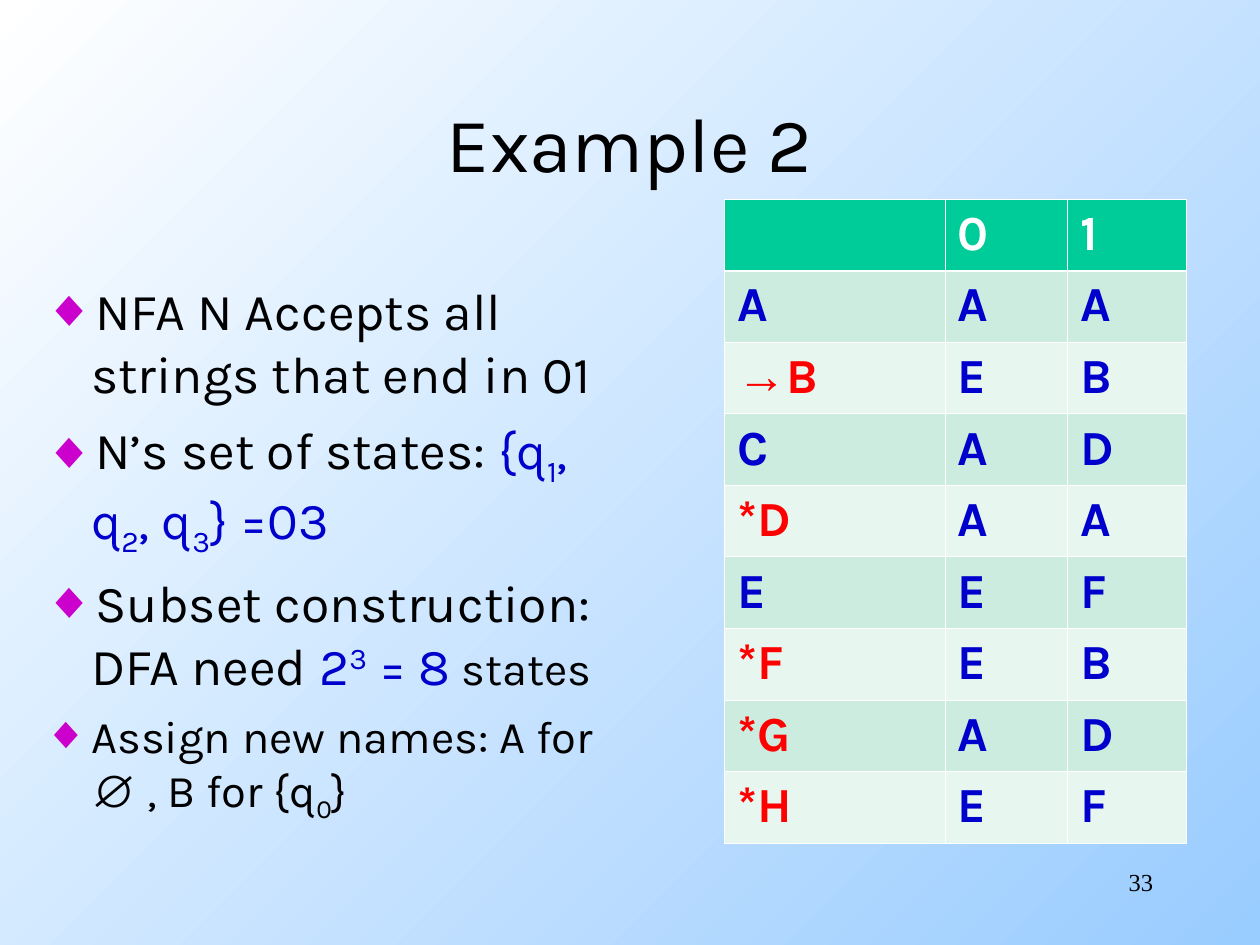
from typing import NamedTuple

from lxml.etree import SubElement
from pptx import Presentation
from pptx.dml.color import RGBColor
from pptx.enum.text import MSO_ANCHOR as Anchor, PP_ALIGN as Align
from pptx.oxml.ns import qn
from pptx.util import Pt

BLACK, WHITE, BLUE, RED = "000000", "FFFFFF", "0000CC", "FF0000"
GREEN, MINT, PALE, PURPLE = "00CC99", "CBECDE", "E7F6EF", "CC00CC"


class Run(NamedTuple):
    text: str
    color: str = BLACK
    size: float = 29.6
    font: str = "Karla"
    base: int = 0


class Bullet(NamedTuple):
    before: float
    runs: list[Run]


class State(NamedTuple):
    mark: str
    name: str
    on_zero: str
    on_one: str


BULLETS = [
    Bullet(8, [Run("NFA N Accepts all strings that end in 01")]),
    Bullet(8, [
        Run("N’s set of states: "),
        Run("{q", BLUE), Run("1", BLUE, base=-25),
        Run(", q", BLUE), Run("2", BLUE, base=-25),
        Run(", q", BLUE), Run("3", BLUE, base=-25),
        Run("} =03", BLUE),
    ]),
    Bullet(7, [
        Run("Subset construction: DFA need "),
        Run("2", BLUE), Run("3", BLUE, base=30), Run(" = 8", BLUE),
        Run(" states", size=25.9),
    ]),
    Bullet(7, [
        Run("Assign new names: A for ", size=25.9),
        Run("∅", size=25.9, font="Arial"),
        Run(" , B for {q", size=25.9),
        Run("0", size=25.9, base=-25),
        Run("}", size=25.9),
    ]),
]

STATES = [
    State("", "A", "A", "A"),
    State("→", "B", "E", "B"),
    State("", "C", "A", "D"),
    State("*", "D", "A", "A"),
    State("", "E", "E", "F"),
    State("*", "F", "E", "B"),
    State("*", "G", "A", "D"),
    State("*", "H", "E", "F"),
]


def rgb(value: str) -> RGBColor:
    return RGBColor.from_string(value)


def add_text(p, text: str, *, color: str = BLACK, size: float = 28, font: str = "Karla",
             bold: bool = False, base: int = 0) -> None:
    r = p.add_run()
    r.text = text
    r.font.name, r.font.size, r.font.bold = font, Pt(size), bold
    r.font.color.rgb = rgb(color)
    if base:
        r.font._element.set("baseline", str(base * 1000))


def add_box(s, left: float, top: float, width: float, height: float, anchor=Anchor.TOP):
    tf = s.shapes.add_textbox(Pt(left), Pt(top), Pt(width), Pt(height)).text_frame
    tf.word_wrap = True
    tf.vertical_anchor = anchor
    return tf


def set_bullet(p, before: float) -> None:
    p.space_before = Pt(before)
    pPr = p._p.get_or_add_pPr()
    pPr.set("marL", str(Pt(27)))
    pPr.set("indent", str(Pt(-27)))
    SubElement(SubElement(pPr, qn("a:buClr")), qn("a:srgbClr"), val=PURPLE)
    SubElement(pPr, qn("a:buFont"), typeface="Arial")
    SubElement(pPr, qn("a:buChar"), char="◆")


def add_bullets(s, bullets: list[Bullet]) -> None:
    tf = add_box(s, 18, 156, 348, 324)
    for i, bullet in enumerate(bullets):
        p = tf.add_paragraph() if i else tf.paragraphs[0]
        set_bullet(p, bullet.before)
        for run in bullet.runs:
            add_text(p, run.text, color=run.color, size=run.size, font=run.font, base=run.base)


def style_cell(cell, fill: str, top: float, bottom: float) -> None:
    tcPr = cell._tc.get_or_add_tcPr()
    for side, width in {"L": 0.45, "R": 0.45, "T": top, "B": bottom}.items():
        ln = SubElement(tcPr, qn(f"a:ln{side}"), w=str(Pt(width)))
        SubElement(SubElement(ln, qn("a:solidFill")), qn("a:srgbClr"), val=WHITE)
    cell.fill.solid()
    cell.fill.fore_color.rgb = rgb(fill)


def add_transitions(s, states: list[State]) -> None:
    rows = len(states) + 1
    widths = [126, 70, 68]
    table = s.shapes.add_table(rows, len(widths), Pt(414), Pt(113.8),
                               Pt(sum(widths)), Pt(40.9 * rows)).table
    for column, width in zip(table.columns, widths):
        column.width = Pt(width)
    for i, row in enumerate(table.rows):
        row.height = Pt(40.9)
        fill = (MINT if i % 2 else PALE) if i else GREEN
        for cell in row.cells:
            style_cell(cell, fill, 1.47 if i == 1 else 0.45, 0.45 if i else 1.47)
    for j, symbol in enumerate("01", 1):
        add_text(table.cell(0, j).text_frame.paragraphs[0], symbol, color=WHITE, bold=True)
    for i, state in enumerate(states, 1):
        p, zero, one = (table.cell(i, j).text_frame.paragraphs[0] for j in range(3))
        color = RED if state.mark else BLUE
        if state.mark == "→":
            add_text(p, state.mark, color=color, font="Arial", bold=True)
            add_text(p, state.name, color=color, bold=True)
        else:
            add_text(p, state.mark + state.name, color=color, bold=True)
        add_text(zero, state.on_zero, color=BLUE, bold=True)
        add_text(one, state.on_one, color=BLUE, bold=True)


def set_background(s) -> None:
    fill = s.background.fill
    fill.gradient()
    fill.gradient_angle = 315
    for stop, color in zip(fill.gradient_stops, (WHITE, "99CCFF")):
        stop.color.rgb = rgb(color)


def main() -> None:
    """Build the subset construction slide."""
    prs = Presentation()
    prs.slide_width, prs.slide_height = Pt(720), Pt(540)
    s = prs.slides.add_slide(prs.slide_layouts[6])
    set_background(s)
    title = add_box(s, 54, 48, 612, 66, Anchor.MIDDLE).paragraphs[0]
    title.alignment = Align.CENTER
    add_text(title, "Example 2", size=44)
    add_bullets(s, BULLETS)
    number = add_box(s, 516, 492, 150, 36).paragraphs[0]
    number.alignment = Align.RIGHT
    add_text(number, "33", size=14, font="Times New Roman")
    add_transitions(s, STATES)
    prs.save("out.pptx")


if __name__ == "__main__":
    main()
